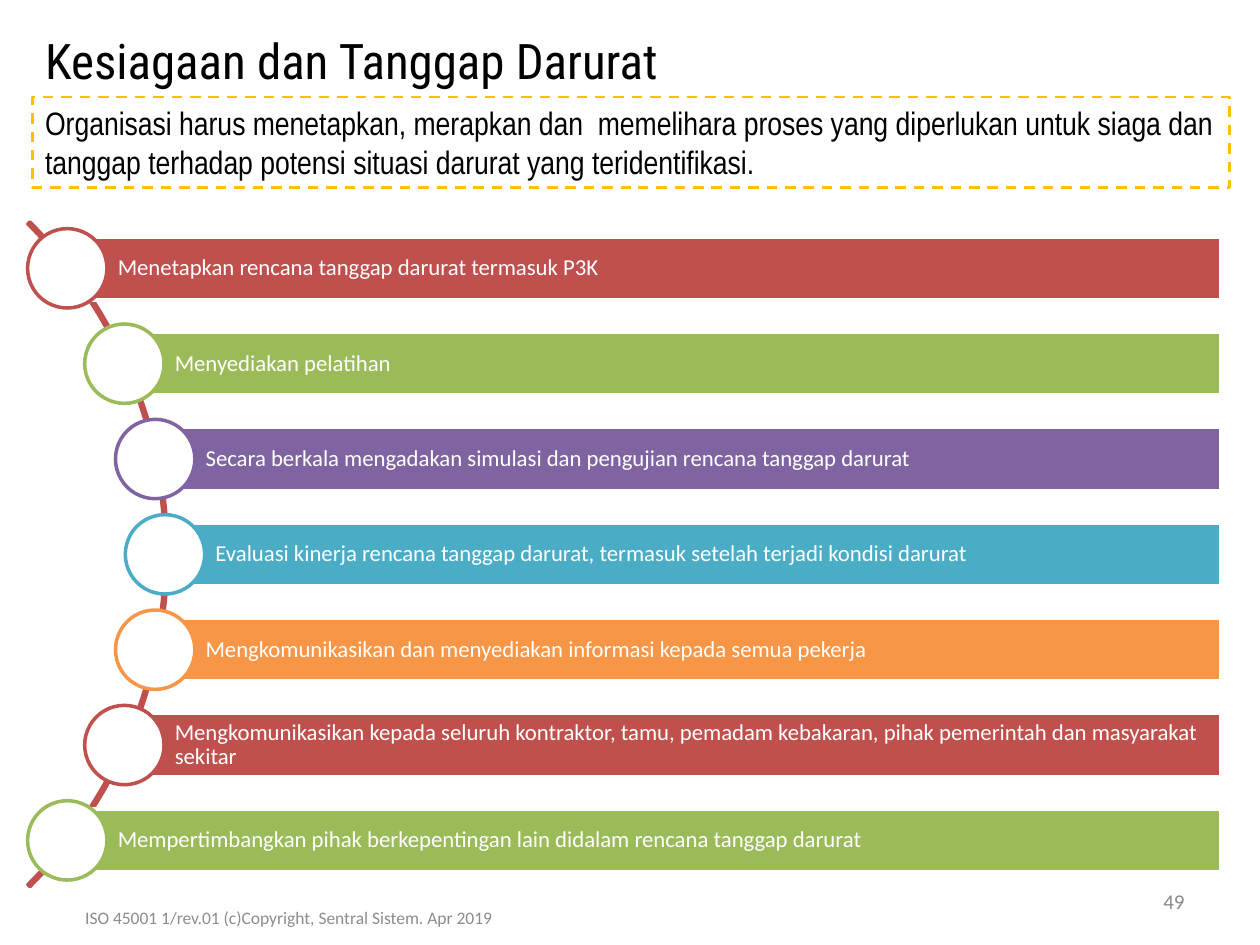
from math import sqrt

from pptx import Presentation
from pptx.dml.color import RGBColor
from pptx.enum.dml import MSO_LINE
from pptx.enum.shapes import MSO_SHAPE
from pptx.enum.text import MSO_ANCHOR, MSO_AUTO_SIZE, PP_ALIGN
from pptx.util import Inches, Pt

RED, GREEN, PURPLE, TEAL, ORANGE = "C0504D", "9BBB59", "8064A2", "4BACC6", "F79646"
WHITE, BLACK = "FFFFFF", "000000"

STEPS = [
    ("Menetapkan rencana tanggap darurat termasuk P3K", RED),
    ("Menyediakan pelatihan", GREEN),
    ("Secara berkala mengadakan simulasi dan pengujian rencana tanggap darurat", PURPLE),
    ("Evaluasi kinerja rencana tanggap darurat, termasuk setelah terjadi kondisi darurat", TEAL),
    ("Mengkomunikasikan dan menyediakan informasi kepada semua pekerja", ORANGE),
    ("Mengkomunikasikan kepada seluruh kontraktor, tamu, pemadam kebakaran, "
     "pihak pemerintah dan masyarakat sekitar", RED),
    ("Mempertimbangkan pihak berkepentingan lain didalam rencana tanggap darurat", GREEN),
]

ARC_X, ARC_Y, ARC_SIZE = -2.4, 4.4, 7.46
STEP_RADIUS = 3.71
FIRST_STEP_Y, LAST_STEP_Y = 2.13, 6.67
BAR_RIGHT, BAR_HEIGHT, CIRCLE_SIZE = 9.69, 0.5, 0.63


def color(hex_string):
    return RGBColor.from_string(hex_string)


def add_outlined(slide, preset, box, line, fill=None, width=2):
    shape = slide.shapes.add_shape(preset, *map(Inches, box))
    shape.shadow.inherit = False
    if fill:
        shape.fill.solid()
        shape.fill.fore_color.rgb = color(fill)
    else:
        shape.fill.background()
    shape.line.color.rgb = color(line)
    shape.line.width = Pt(width)
    return shape


def write(shape, text, size, font, text_color, align=PP_ALIGN.LEFT, anchor=MSO_ANCHOR.TOP):
    frame = shape.text_frame
    frame.word_wrap = True
    frame.vertical_anchor = anchor
    frame.text = text
    paragraph = frame.paragraphs[0]
    paragraph.alignment = align
    run_font = paragraph.runs[0].font
    run_font.size = Pt(size)
    run_font.name = font
    run_font.color.rgb = color(text_color)
    return frame


def add_text(slide, box, *args, **options):
    return write(slide.shapes.add_textbox(*map(Inches, box)), *args, **options)


def add_requirement(slide):
    frame_box = add_outlined(slide, MSO_SHAPE.RECTANGLE, (0.26, 0.77, 9.5, 0.72),
                             "FFC000", width=1.5)
    frame_box.line.dash_style = MSO_LINE.DASH
    frame = write(frame_box,
                  "Organisasi harus menetapkan, merapkan dan  memelihara proses yang diperlukan "
                  "untuk siaga dan tanggap terhadap potensi situasi darurat yang teridentifikasi.",
                  18.5, "Arial Narrow", BLACK)
    frame.auto_size = MSO_AUTO_SIZE.SHAPE_TO_FIT_TEXT


def add_arc(slide):
    """Draw the thin arc from -45 to 45 degrees that the steps sit on."""
    half = ARC_SIZE / 2
    arc = add_outlined(slide, MSO_SHAPE.BLOCK_ARC,
                       (ARC_X - half, ARC_Y - half, ARC_SIZE, ARC_SIZE), RED)
    for index, value in enumerate((189, 27, 0.003)):
        arc.adjustments[index] = value


def add_step(slide, center_y, text, accent):
    center_x = ARC_X + sqrt(STEP_RADIUS ** 2 - (center_y - ARC_Y) ** 2)
    bar = add_outlined(slide, MSO_SHAPE.RECTANGLE,
                       (center_x, center_y - BAR_HEIGHT / 2, BAR_RIGHT - center_x, BAR_HEIGHT),
                       WHITE, accent)
    frame = write(bar, text, 13, "Calibri", WHITE, anchor=MSO_ANCHOR.MIDDLE)
    frame.margin_left = Inches(0.4)
    frame.margin_right = frame.margin_top = frame.margin_bottom = Inches(0.04)
    frame.paragraphs[0].line_spacing = 0.9
    radius = CIRCLE_SIZE / 2
    add_outlined(slide, MSO_SHAPE.OVAL,
                 (center_x - radius, center_y - radius, CIRCLE_SIZE, CIRCLE_SIZE), accent, WHITE)


def main():
    presentation = Presentation()
    presentation.slide_width, presentation.slide_height = Inches(10), Inches(7.5)
    slide = presentation.slides.add_slide(presentation.slide_layouts[6])

    add_requirement(slide)
    add_arc(slide)
    pitch = (LAST_STEP_Y - FIRST_STEP_Y) / (len(STEPS) - 1)
    for row, (text, accent) in enumerate(STEPS):
        add_step(slide, FIRST_STEP_Y + row * pitch, text, accent)

    title = add_text(slide, (0.26, 0.19, 7.91, 0.57), "Kesiagaan dan Tanggap Darurat",
                     28, "Roboto Condensed", BLACK)
    title.auto_size = MSO_AUTO_SIZE.SHAPE_TO_FIT_TEXT
    add_text(slide, (7.17, 6.95, 2.33, 0.4), "49", 12, "Calibri", "898989",
             align=PP_ALIGN.RIGHT, anchor=MSO_ANCHOR.MIDDLE)
    add_text(slide, (-0.19, 7.08, 4.96, 0.4),
             "ISO 45001 1/rev.01 (c)Copyright, Sentral Sistem. Apr 2019", 10, "Calibri", "8C8C8C",
             align=PP_ALIGN.CENTER, anchor=MSO_ANCHOR.MIDDLE)

    presentation.save("out.pptx")


if __name__ == "__main__":
    main()
